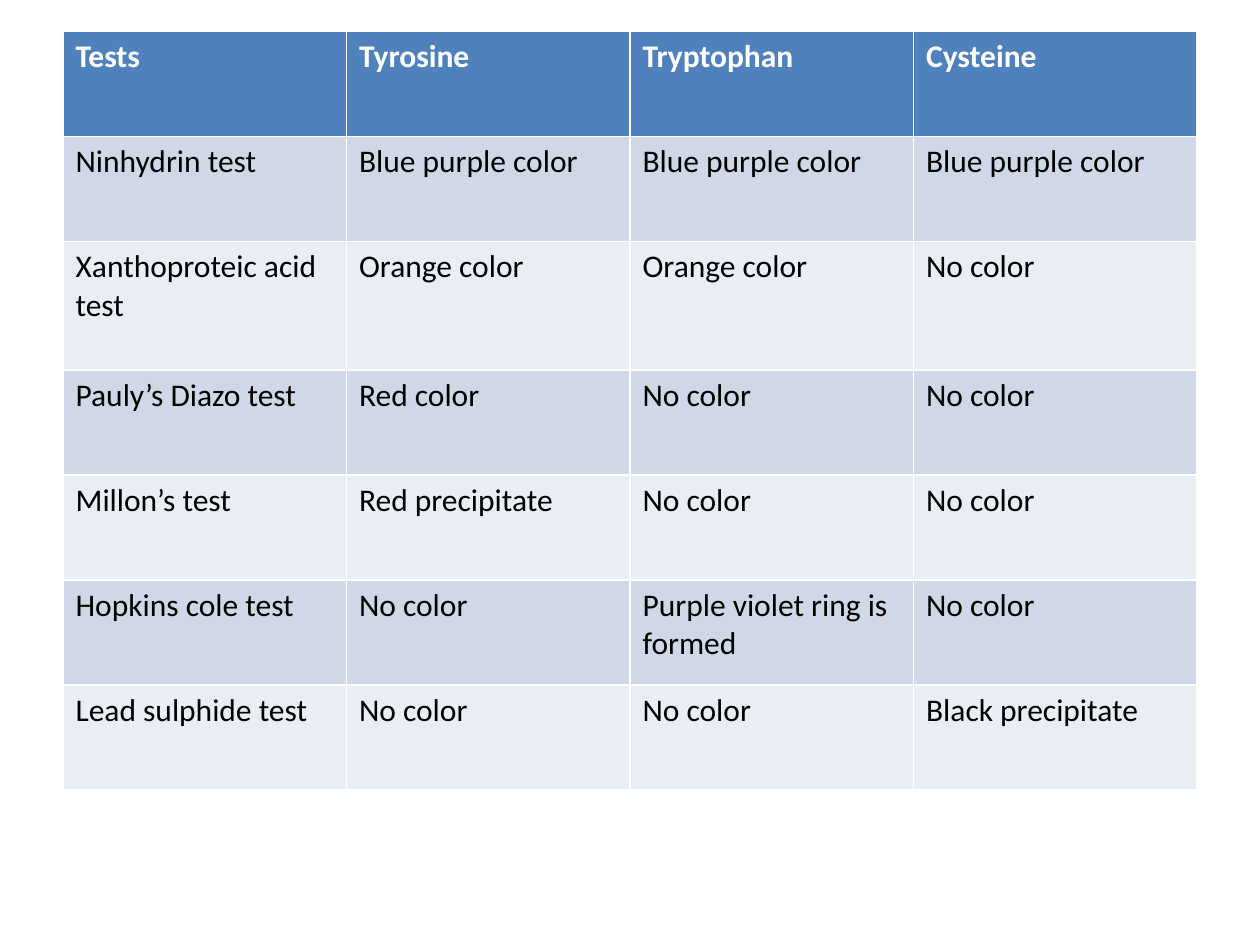
import pptx
import pptx.util
import pptx.dml.color

HEAD = ("Tests", "Tyrosine", "Tryptophan", "Cysteine")
TESTS = [
    ("Ninhydrin test", "Blue purple color", "Blue purple color", "Blue purple color"),
    ("Xanthoproteic acid test", "Orange color", "Orange color", "No color"),
    ("Pauly’s Diazo test", "Red color", "No color", "No color"),
    ("Millon’s test", "Red precipitate", "No color", "No color"),
    ("Hopkins cole test", "No color", "Purple violet ring is formed", "No color"),
    ("Lead sulphide test", "No color", "No color", "Black precipitate"),
]
THEME = {
    "font": "Calibri",
    "size": 18,
    "head": {"fill": "4F81BD", "ink": "FFFFFF", "bold": True},
    "bands": [
        {"fill": "D0D8E8", "ink": "000000", "bold": False},
        {"fill": "E9EDF4", "ink": "000000", "bold": False},
    ],
}
LEFT, TOP, WIDTH = 0.5, 0.25, 9
ROW = 5 / 6
TALL = {2: 1.02}

Inches = pptx.util.Inches


def color(code):
    return pptx.dml.color.RGBColor.from_string(code)


def write(cell, text, look):
    cell.fill.solid()
    cell.fill.fore_color.rgb = color(look["fill"])
    run = cell.text_frame.paragraphs[0].add_run()
    run.text = text
    run.font.name = THEME["font"]
    run.font.size = pptx.util.Pt(THEME["size"])
    run.font.bold = look["bold"]
    run.font.color.rgb = color(look["ink"])


def main():
    deck = pptx.Presentation()
    deck.slide_width, deck.slide_height = Inches(10), Inches(7.5)
    slide = deck.slides.add_slide(deck.slide_layouts[6])
    lines = [HEAD] + TESTS
    highs = [TALL.get(i, ROW) for i in range(len(lines))]
    table = slide.shapes.add_table(
        len(lines), len(HEAD),
        Inches(LEFT), Inches(TOP), Inches(WIDTH), Inches(sum(highs)),
    ).table
    for i, (line, high) in enumerate(zip(lines, highs)):
        table.rows[i].height = Inches(high)
        look = THEME["bands"][(i - 1) % 2] if i else THEME["head"]
        for j, text in enumerate(line):
            write(table.cell(i, j), text, look)
    deck.save("out.pptx")


if __name__ == "__main__":
    main()
